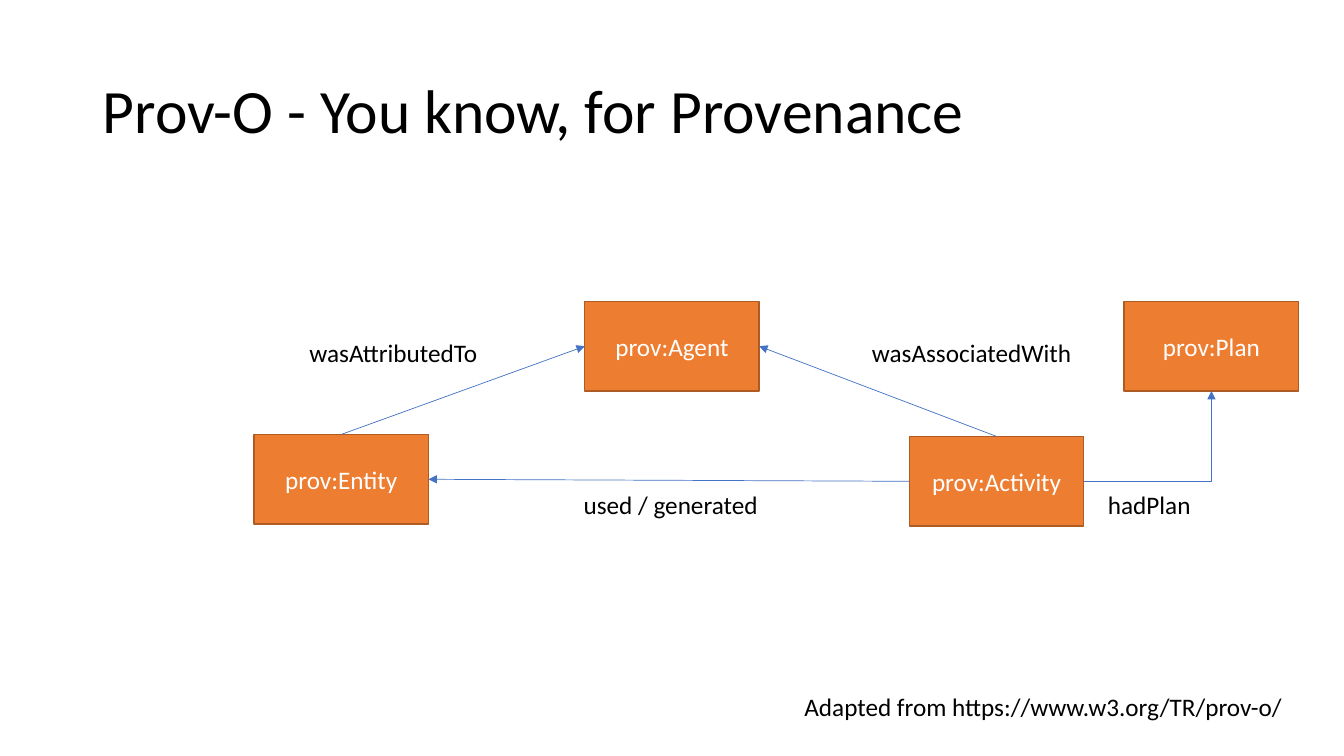
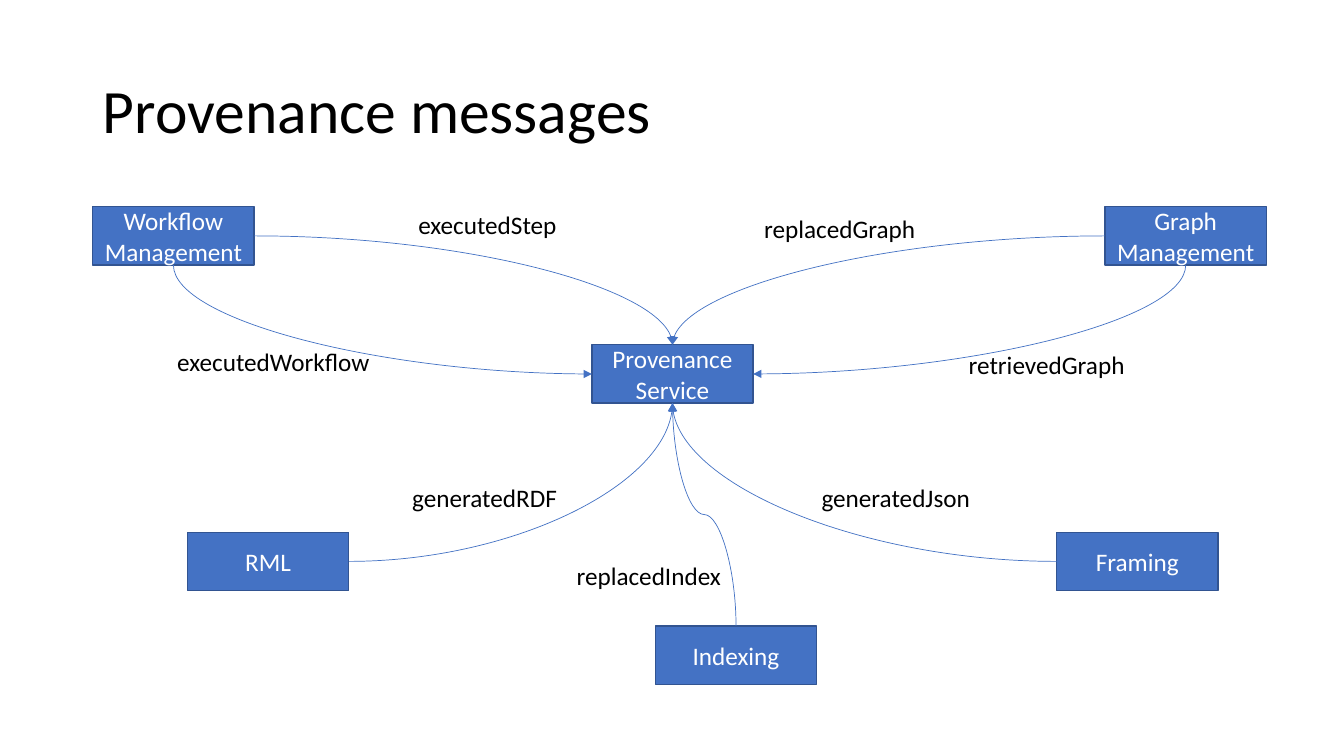
import pptx
import pptx.dml.color
import pptx.enum.shapes
import pptx.enum.text
import pptx.oxml
import pptx.oxml.ns
import pptx.util
from pptx.util import Inches

FONT = "Calibri"
BLACK = "000000"
WHITE = "FFFFFF"
BLUE = "4472C4"
DARK_BLUE = "325491"
ORANGE = "ED7D31"
DARK_ORANGE = "AF5C24"

TOP, LEFT, BOTTOM, RIGHT = range(4)
VERTICAL_SITES = (TOP, BOTTOM)
STRAIGHT = pptx.enum.shapes.MSO_CONNECTOR.STRAIGHT
ELBOW = pptx.enum.shapes.MSO_CONNECTOR.ELBOW
CURVE = pptx.enum.shapes.MSO_CONNECTOR.CURVE
PRESET_STEMS = {ELBOW: "bentConnector", CURVE: "curvedConnector"}
LABEL_HEIGHT = 0.4


def color(value):
    """Return the colour for a hex string."""
    return pptx.dml.color.RGBColor.from_string(value)


def format_text(text_frame, size, text_color, alignment):
    """Give every paragraph the same font and alignment."""
    for paragraph in text_frame.paragraphs:
        paragraph.alignment = alignment
        paragraph.font.name = FONT
        paragraph.font.size = pptx.util.Pt(size)
        paragraph.font.color.rgb = color(text_color)


def add_titled_slide(presentation, title):
    """Add a title-only slide with the shared title style."""
    slide = presentation.slides.add_slide(presentation.slide_layouts[5])
    shape = slide.shapes.title
    shape.left, shape.top = Inches(0.92), Inches(0.4)
    shape.width, shape.height = Inches(11.5), Inches(1.45)
    shape.text_frame.text = title
    shape.text_frame.vertical_anchor = pptx.enum.text.MSO_ANCHOR.MIDDLE
    format_text(shape.text_frame, 44, BLACK, pptx.enum.text.PP_ALIGN.LEFT)
    shape.text_frame.paragraphs[0].line_spacing = 0.9
    return slide


def add_node(slide, text, left, top, size, fill, outline):
    """Add a filled rectangle with centred white text."""
    shape = slide.shapes.add_shape(
        pptx.enum.shapes.MSO_SHAPE.RECTANGLE,
        Inches(left), Inches(top), Inches(size[0]), Inches(size[1]),
    )
    shape.shadow.inherit = False
    shape.fill.solid()
    shape.fill.fore_color.rgb = color(fill)
    shape.line.color.rgb = color(outline)
    shape.line.width = pptx.util.Pt(1)
    shape.text_frame.text = text
    shape.text_frame.vertical_anchor = pptx.enum.text.MSO_ANCHOR.MIDDLE
    format_text(shape.text_frame, 18, WHITE, pptx.enum.text.PP_ALIGN.CENTER)
    return shape


def add_label(slide, text, left, top, width):
    """Add a one-line text box."""
    shape = slide.shapes.add_textbox(
        Inches(left), Inches(top), Inches(width), Inches(LABEL_HEIGHT)
    )
    shape.text_frame.text = text
    shape.text_frame.word_wrap = False
    shape.text_frame.auto_size = pptx.enum.text.MSO_AUTO_SIZE.SHAPE_TO_FIT_TEXT
    format_text(shape.text_frame, 18, BLACK, pptx.enum.text.PP_ALIGN.LEFT)


def turn_to_vertical_start(connector):
    """Rotate a connector so that it leaves its first node vertically."""
    down = connector.end_y > connector.begin_y
    rightward = connector.end_x > connector.begin_x
    width, height = connector.width, connector.height
    connector.left = connector.left + (width - height) // 2
    connector.top = connector.top + (height - width) // 2
    connector.width, connector.height = height, width
    transform = connector._element.spPr.find(pptx.oxml.ns.qn("a:xfrm"))
    transform.set("rot", "5400000" if down else "16200000")
    transform.set("flipH", "0")
    transform.set("flipV", "1" if down == rightward else "0")


def add_arrow(slide, kind, start, start_site, end, end_site):
    """Connect two nodes with a thin arrow."""
    connector = slide.shapes.add_connector(kind, 0, 0, 0, 0)
    connector.begin_connect(start, start_site)
    connector.end_connect(end, end_site)
    connector.line.color.rgb = color(BLUE)
    connector.line.width = pptx.util.Pt(0.5)
    properties = connector._element.spPr
    arrowhead = pptx.oxml.parse_xml(
        f'<a:tailEnd {pptx.oxml.ns.nsdecls("a")} type="triangle"/>'
    )
    properties.find(pptx.oxml.ns.qn("a:ln")).append(arrowhead)
    properties.append(
        pptx.oxml.parse_xml(f'<a:effectLst {pptx.oxml.ns.nsdecls("a")}/>')
    )
    if kind != STRAIGHT:
        parallel = (start_site in VERTICAL_SITES) == (end_site in VERTICAL_SITES)
        preset = PRESET_STEMS[kind] + ("3" if parallel else "2")
        properties.find(pptx.oxml.ns.qn("a:prstGeom")).set("prst", preset)
        if start_site in VERTICAL_SITES:
            turn_to_vertical_start(connector)


def add_diagram(slide, left, top, size, fill, outline, nodes, labels, arrows):
    """Place nodes, labels and arrows relative to the diagram's corner."""
    shapes = {
        text: add_node(slide, text, left + x, top + y, size, fill, outline)
        for text, x, y in nodes
    }
    for text, x, y, width in labels:
        add_label(slide, text, left + x, top + y, width)
    for kind, start, start_site, end, end_site in arrows:
        add_arrow(slide, kind, shapes[start], start_site, shapes[end], end_site)


def build_ontology_slide(presentation):
    """Build the slide on the Prov-O classes and relations."""
    slide = add_titled_slide(presentation, "Prov-O - You know, for Provenance")
    entity, agent = "prov:Entity", "prov:Agent"
    activity, plan = "prov:Activity", "prov:Plan"
    nodes = [
        (entity, 0, 1.32),
        (agent, 3.28, 0),
        (activity, 6.5, 1.34),
        (plan, 8.63, 0),
    ]
    labels = [
        ("used / generated", 3.17, 1.82, 1.95),
        ("wasAttributedTo", 0.45, 0.31, 1.89),
        ("wasAssociatedWith", 6.03, 0.31, 2.2),
        ("hadPlan", 8.37, 1.82, 1.03),
    ]
    arrows = [
        (STRAIGHT, activity, LEFT, entity, RIGHT),
        (STRAIGHT, entity, TOP, agent, LEFT),
        (STRAIGHT, activity, TOP, agent, RIGHT),
        (ELBOW, activity, RIGHT, plan, BOTTOM),
    ]
    add_diagram(slide, 2.52, 2.99, (1.73, 0.89), ORANGE, DARK_ORANGE,
                nodes, labels, arrows)
    add_label(slide, "Adapted from https://www.w3.org/TR/prov-o/", 7.88, 6.81, 5)


def build_messages_slide(presentation):
    """Build the slide on messages sent to the provenance service."""
    slide = add_titled_slide(presentation, "Provenance messages")
    service = "Provenance\nService"
    workflow, graph = "Workflow\nManagement", "Graph\nManagement"
    nodes = [
        (service, 4.95, 1.37),
        (workflow, 0, 0),
        ("Indexing", 5.58, 4.16),
        (graph, 10.04, 0),
        ("Framing", 9.56, 3.23),
        ("RML", 0.94, 3.23),
    ]
    labels = [
        ("executedWorkflow", 0.74, 1.34, 2.13),
        ("executedStep", 3.13, -0.02, 1.59),
        ("replacedGraph", 6.56, 0.02, 1.72),
        ("generatedJson", 7.13, 2.69, 1.69),
        ("generatedRDF", 3.07, 2.69, 1.66),
        ("replacedIndex", 4.7, 3.46, 1.65),
        ("retrievedGraph", 8.59, 1.37, 1.77),
    ]
    senders = [
        (graph, LEFT, TOP),
        (graph, BOTTOM, RIGHT),
        ("Framing", LEFT, BOTTOM),
        ("RML", RIGHT, BOTTOM),
        (workflow, RIGHT, TOP),
        (workflow, BOTTOM, LEFT),
        ("Indexing", TOP, BOTTOM),
    ]
    arrows = [
        (CURVE, sender, sender_site, service, service_site)
        for sender, sender_site, service_site in senders
    ]
    add_diagram(slide, 0.92, 2.05, (1.6, 0.58), BLUE, DARK_BLUE,
                nodes, labels, arrows)


def main():
    """Build and save the presentation."""
    presentation = pptx.Presentation()
    presentation.slide_width = Inches(13.33)
    presentation.slide_height = Inches(7.5)
    build_ontology_slide(presentation)
    build_messages_slide(presentation)
    presentation.save("out.pptx")


if __name__ == "__main__":
    main()
